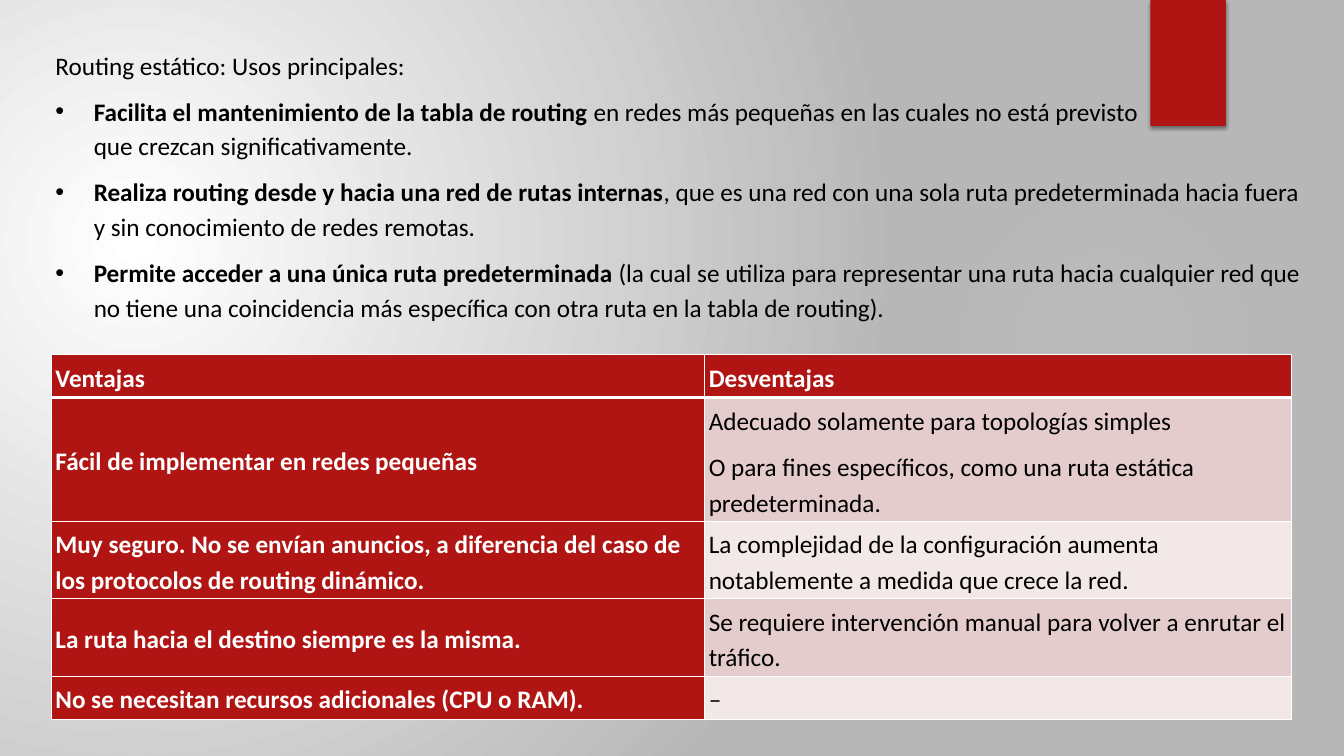
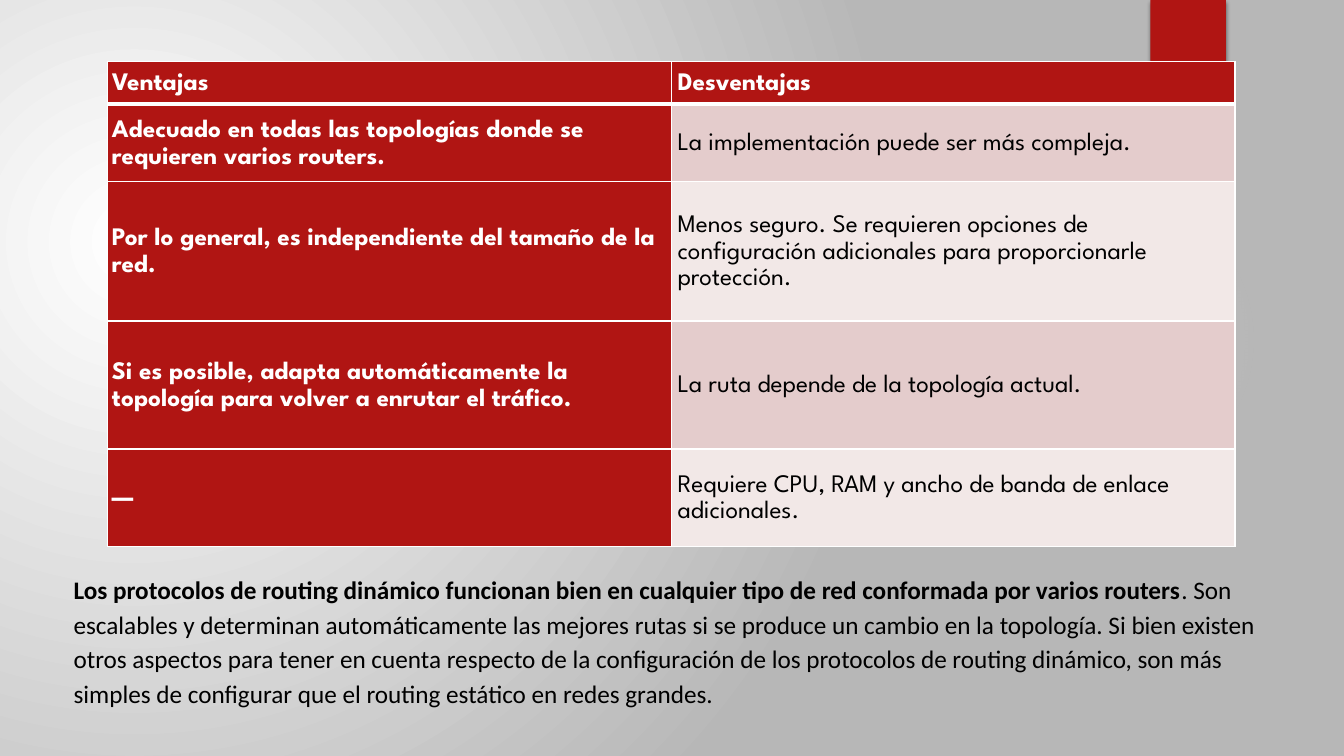
"""Build two slides comparing static and dynamic routing."""
import lxml.etree
import pptx
import pptx.dml.color
import pptx.enum.shapes
import pptx.enum.text
import pptx.oxml
import pptx.oxml.ns
import pptx.util

Inches = pptx.util.Inches
Pt = pptx.util.Pt
RGBColor = pptx.dml.color.RGBColor
qn = pptx.oxml.ns.qn

RED = RGBColor(0xB0, 0x15, 0x13)
ROSE = RGBColor(0xE4, 0xCC, 0xCC)
PALE = RGBColor(0xF2, 0xE8, 0xE7)
BLACK = RGBColor(0, 0, 0)
WHITE = RGBColor(0xFF, 0xFF, 0xFF)
GREY = RGBColor(0xB7, 0xB7, 0xB7)
MIST = RGBColor(0xF3, 0xF3, 0xF3)


def write(paragraph, text, font="Calibri", color=BLACK, bold=False):
    paragraph.line_spacing = 1.15
    paragraph.space_before = Pt(0)
    paragraph.space_after = Pt(8)
    for number, line in enumerate(text.split("\n")):
        if number:
            paragraph.add_line_break()
        run = paragraph.add_run()
        run.text = line
        run.font.name = font
        run.font.size = Pt(18)
        run.font.bold = bold
        run.font.color.rgb = color


def circle_gradient(stops, focus):
    stop_list = "".join(
        f'<a:gs pos="{at * 1000}"><a:srgbClr val="{color}">'
        f'<a:alpha val="{alpha * 1000}"/></a:srgbClr></a:gs>'
        for at, color, alpha in stops)
    edges = " ".join(f'{side}="{value * 1000}"' for side, value in zip("ltrb", focus))
    return pptx.oxml.parse_xml(
        f'<a:gradFill {pptx.oxml.ns.nsdecls("a")} rotWithShape="1"><a:gsLst>{stop_list}</a:gsLst>'
        f'<a:path path="circle"><a:fillToRect {edges}/></a:path></a:gradFill>')


deck = pptx.Presentation()
deck.slide_width = Inches(13.33)
deck.slide_height = Inches(7.5)
layout = deck.slide_layouts[1]
static_slide = deck.slides.add_slide(layout)
dynamic_slide = deck.slides.add_slide(layout)

master = deck.slide_master
master.background.fill.gradient()
backdrop = master.element.xpath(".//p:bgPr/a:gradFill")[0]
backdrop.getparent().replace(
    backdrop, circle_gradient([(0, WHITE, 100), (100, GREY, 100)], (45, 65, 125, 100)))

shape_kinds = pptx.enum.shapes.MSO_SHAPE
glow = static_slide.shapes.add_shape(
    shape_kinds.OVAL, Inches(9.41), Inches(1.83), Inches(3.08), Inches(3.08))
glow.fill.gradient()
glow_fill = glow.element.spPr.find(qn("a:gradFill"))
glow.element.spPr.replace(glow_fill, circle_gradient(
    [(0, MIST, 7), (36, MIST, 6), (69, MIST, 0), (100, MIST, 0)], (50, 50, 50, 50)))

ribbon = static_slide.shapes.add_shape(
    shape_kinds.RECTANGLE, Inches(11.41), 0, Inches(0.75), Inches(1.25))
ribbon.fill.solid()
ribbon.fill.fore_color.rgb = RED

for number, decoration in enumerate((glow, ribbon)):
    decoration.line.fill.background()
    decoration.shadow.inherit = False
    decoration.element.xpath(".//p:cNvPr")[0].set("id", str(20 + number))
    master.shapes.element.insert(2 + number, decoration.element)

ribbon.element.spPr.find(qn("a:effectLst")).append(pptx.oxml.parse_xml(
    f'<a:outerShdw {pptx.oxml.ns.nsdecls("a")} blurRad="{Pt(3)}" dist="{Pt(2)}" dir="5400000">'
    f'<a:srgbClr val="{BLACK}"><a:alpha val="45000"/></a:srgbClr></a:outerShdw>'))

passages = [
    (static_slide, (0.45, 0.4, 12.55, 2.86), [
        (False, "", "Routing estático: Usos principales:"),
        (True, "Facilita el mantenimiento de la tabla de routing",
         " en redes más pequeñas en las cuales no está previsto\nque crezcan significativamente."),
        (True, "Realiza routing desde y hacia una red de rutas internas",
         ", que es una red con una sola ruta predeterminada hacia fuera y sin conocimiento "
         "de redes remotas."),
        (True, "Permite acceder a una única ruta predeterminada",
         " (la cual se utiliza para representar una ruta hacia cualquier red que no tiene una "
         "coincidencia más específica con otra ruta en la tabla de routing)."),
    ]),
    (dynamic_slide, (0.63, 5.6, 12.07, 1.47), [
        (False, "Los protocolos de routing dinámico funcionan bien en cualquier tipo de red "
         "conformada por varios routers",
         ". Son escalables y determinan automáticamente las mejores rutas si se produce un cambio "
         "en la topología. Si bien existen otros aspectos para tener en cuenta respecto de la "
         "configuración de los protocolos de routing dinámico, son más simples de configurar que "
         "el routing estático en redes grandes."),
    ]),
]

for slide, place, paragraphs in passages:
    title = slide.shapes.title.element
    title.getparent().remove(title)
    body = slide.placeholders[1]
    body.left, body.top, body.width, body.height = map(Inches, place)
    body.text_frame.word_wrap = True
    body.text_frame.auto_size = pptx.enum.text.MSO_AUTO_SIZE.SHAPE_TO_FIT_TEXT
    for number, (bulleted, lead, rest) in enumerate(paragraphs):
        paragraph = body.text_frame.add_paragraph() if number else body.text_frame.paragraphs[0]
        properties = paragraph._p.get_or_add_pPr()
        hanging = Inches(0.38) if bulleted else 0
        properties.set("marL", str(hanging))
        properties.set("indent", str(-hanging))
        if bulleted:
            lxml.etree.SubElement(properties, qn("a:buChar")).set("char", "•")
        else:
            lxml.etree.SubElement(properties, qn("a:buNone"))
        if lead:
            write(paragraph, lead, bold=True)
        write(paragraph, rest)

comparisons = [
    (static_slide, "Calibri", (0.51, 3.52), (6.48, 5.82), (0.42, 1.22, 0.77, 0.77, 0.42), 0.04, [
        ("Ventajas", "Desventajas"),
        ("Fácil de implementar en redes pequeñas",
         "Adecuado solamente para topologías simples\n"
         "O para fines específicos, como una ruta estática predeterminada."),
        ("Muy seguro. No se envían anuncios, a diferencia del caso de los protocolos de routing "
         "dinámico.",
         "La complejidad de la configuración aumenta notablemente a medida que crece la red."),
        ("La ruta hacia el destino siempre es la misma.",
         "Se requiere intervención manual para volver a enrutar el tráfico."),
        ("No se necesitan recursos adicionales (CPU o RAM).", "–"),
    ]),
    (dynamic_slide, "League Spartan", (1.07, 0.61), (5.59, 5.59), (0.42, 0.77, 1.38, 1.27, 0.97),
     0.06, [
        ("Ventajas", "Desventajas"),
        ("Adecuado en todas las topologías donde se requieren varios routers.",
         "La implementación puede ser más compleja."),
        ("Por lo general, es independiente del tamaño de la red.",
         "Menos seguro. Se requieren opciones de configuración adicionales para proporcionarle "
         "protección."),
        ("Si es posible, adapta automáticamente la topología para volver a enrutar el tráfico.",
         "La ruta depende de la topología actual."),
        ("—", "Requiere CPU, RAM y ancho de banda de enlace adicionales."),
    ]),
]

for slide, font, (left, top), widths, heights, right_inset, rows in comparisons:
    comparison = slide.shapes.add_table(
        len(rows), len(widths), Inches(left), Inches(top),
        Inches(sum(widths)), Inches(sum(heights))).table
    for column, width in zip(comparison.columns, widths):
        column.width = Inches(width)
    for row, (height, texts) in enumerate(zip(heights, rows)):
        comparison.rows[row].height = Inches(height)
        for column, text in enumerate(texts):
            cell = comparison.cell(row, column)
            strong = row == 0 or column == 0
            cell.vertical_anchor = pptx.enum.text.MSO_ANCHOR.MIDDLE
            cell.margin_left = Inches(right_inset if column else 0.04)
            cell.margin_right = cell.margin_top = cell.margin_bottom = Inches(0.04)
            borders = {"L": 1, "R": 1, "T": 3 if row == 1 else 1, "B": 3 if row == 0 else 1}
            for side, weight in borders.items():
                cell._tc.get_or_add_tcPr().append(pptx.oxml.parse_xml(
                    f'<a:ln{side} {pptx.oxml.ns.nsdecls("a")} w="{Pt(weight)}"><a:solidFill>'
                    f'<a:srgbClr val="{WHITE}"/></a:solidFill></a:ln{side}>'))
            cell.fill.solid()
            cell.fill.fore_color.rgb = RED if strong else ROSE if row % 2 else PALE
            for number, line in enumerate(text.split("\n")):
                frame = cell.text_frame
                paragraph = frame.add_paragraph() if number else frame.paragraphs[0]
                write(paragraph, line, font=font, color=WHITE if strong else BLACK, bold=strong)

deck.save("out.pptx")
